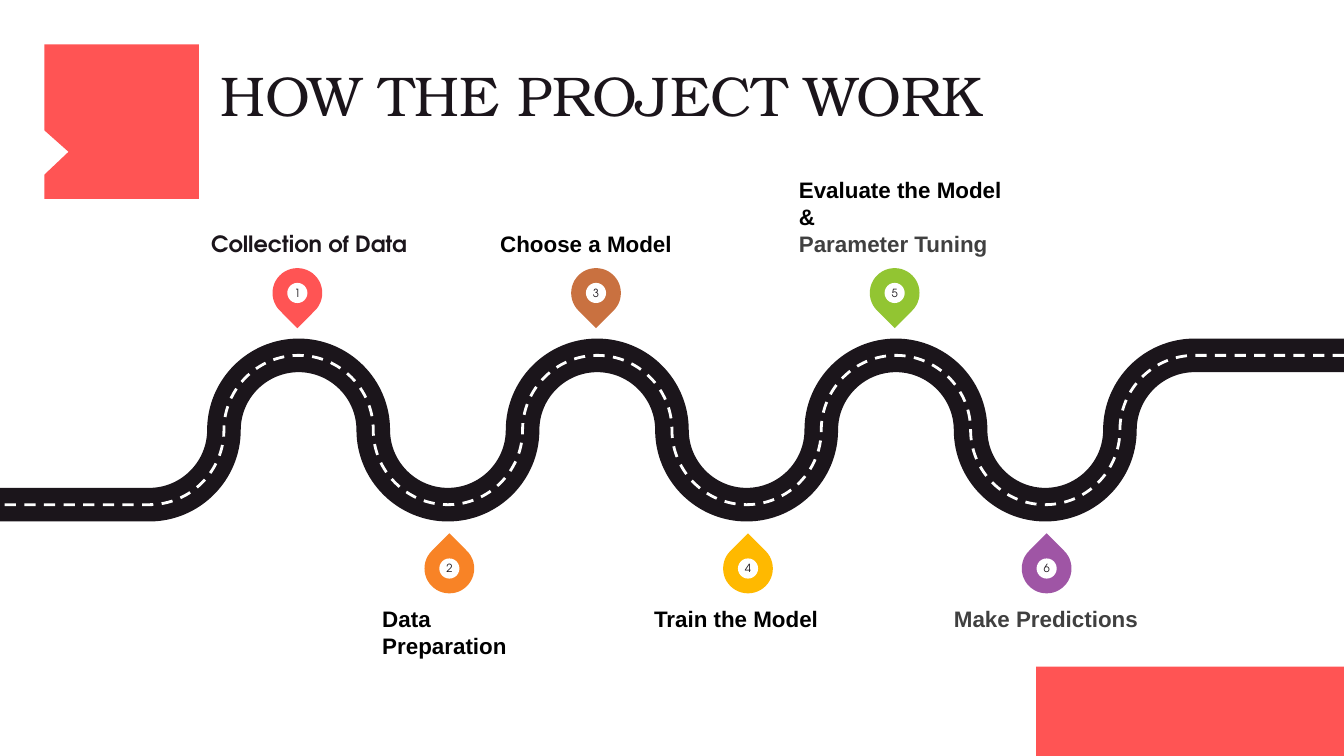
import math
from dataclasses import dataclass

from lxml import etree
from pptx import Presentation
from pptx.dml.color import RGBColor
from pptx.enum.dml import MSO_LINE
from pptx.enum.shapes import MSO_SHAPE
from pptx.enum.text import MSO_ANCHOR, MSO_AUTO_SIZE, PP_ALIGN
from pptx.oxml.ns import qn
from pptx.shapes.autoshape import Shape
from pptx.slide import Slide
from pptx.text.text import TextFrame, _Paragraph
from pptx.util import Inches, Pt

RECTANGLE, OVAL, TEAR = MSO_SHAPE.RECTANGLE, MSO_SHAPE.OVAL, MSO_SHAPE.TEAR
TOP, MIDDLE, BOTTOM = MSO_ANCHOR.TOP, MSO_ANCHOR.MIDDLE, MSO_ANCHOR.BOTTOM
LEFT, CENTER = PP_ALIGN.LEFT, PP_ALIGN.CENTER
DASH = MSO_LINE.DASH
NO_AUTOFIT = MSO_AUTO_SIZE.NONE

WIDTH, HEIGHT = 10, 5.625
COLUMN = WIDTH / 9
BEND_RADIUS = COLUMN / 2
ROAD_MIDDLE = 3.2
BENDS = 8
QUARTER = math.pi / 2
CURVE_HANDLE = 0.55
PIN_SIZE, BADGE_SIZE = 0.37, 0.15
PIN_SHIFT = {True: -0.01, False: 0.01}
PIN_MIDDLE = {True: 2.18, False: 4.23}
LABEL_TOP = {True: 1.33, False: 4.5}
LABEL_HEIGHT = 0.58

Point = tuple[float, float]


@dataclass(frozen=True)
class Theme:
    accent: str = "FF5454"
    ink: str = "1B151B"
    black: str = "000000"
    grey: str = "404040"
    white: str = "FFFFFF"
    title_font: str = "TeX Gyre Bonum"
    display_font: str = "TeX Gyre Adventor"
    label_font: str = "Arial"
    title_size: float = 30
    label_size: float = 12
    badge_size: float = 6


THEME = Theme()


@dataclass(frozen=True)
class Step:
    """A milestone; label_left and label_width are in columns."""
    number: int
    lines: tuple[str, ...]
    pin_color: str
    label_left: float
    label_width: float
    colors: tuple[str, ...] = (THEME.black,)
    font: str = THEME.label_font
    align: PP_ALIGN = LEFT

    @property
    def above(self) -> bool:
        return self.number % 2 == 1


STEPS = (
    Step(1, ("Collection of Data",), THEME.accent, 1.36, 1.42,
         (THEME.ink,), THEME.display_font, CENTER),
    Step(3, ("Choose a Model",), "C97140", 3.35, 1.27),
    Step(5, ("Evaluate the Model", "&", "Parameter Tuning"), "92C532", 5.35, 1.42,
         (THEME.black, THEME.black, THEME.grey)),
    Step(2, ("Data Preparation",), "F88326", 2.56, 1.09),
    Step(4, ("Train the Model",), "FFB900", 4.38, 1.27),
    Step(6, ("Make Predictions",), "9F55A5", 6.37, 1.27, (THEME.grey,), align=CENTER),
)


def paint(shape: Shape, color: str) -> None:
    shape.shadow.inherit = False
    shape.fill.solid()
    shape.fill.fore_color.rgb = RGBColor.from_string(color)
    shape.line.fill.background()


def prepare_frame(frame: TextFrame, anchor: MSO_ANCHOR, wrap: bool = True) -> None:
    frame.margin_left = frame.margin_right = frame.margin_top = frame.margin_bottom = 0
    frame.auto_size = NO_AUTOFIT
    frame.word_wrap = wrap
    frame.vertical_anchor = anchor


def format_paragraph(paragraph: _Paragraph, font: str, size: float, color: str,
                     align: PP_ALIGN, bold: bool = False) -> None:
    paragraph.alignment = align
    for run in paragraph.runs:
        run.font.name = font
        run.font.size = Pt(size)
        run.font.bold = bold
        run.font.color.rgb = RGBColor.from_string(color)


def draw_outline(slide: Slide, points: list[Point], close: bool) -> Shape:
    corners = [(Inches(x), Inches(y)) for x, y in points]
    builder = slide.shapes.build_freeform(*corners[0])
    builder.add_line_segments(corners[1:], close=close)
    return builder.convert_to_shape()


def draw_decorations(slide: Slide) -> None:
    near, far, notch = 0.33, 1.48, 0.51
    flag = [(near, near), (far, near), (far, far), (near, far),
            (near, 1.3), (notch, 1.13), (near, 0.97)]
    paint(draw_outline(slide, flag, close=True), THEME.accent)
    block_left, block_top = 7.71, 4.96
    block = slide.shapes.add_shape(
        RECTANGLE, Inches(block_left), Inches(block_top),
        Inches(WIDTH - block_left), Inches(HEIGHT - block_top))
    paint(block, THEME.accent)


def draw_title(slide: Slide, text: str) -> None:
    title = slide.shapes.title
    title.left, title.top = Inches(1.64), Inches(0.52)
    title.width, title.height = Inches(6.85), Inches(0.43)
    prepare_frame(title.text_frame, BOTTOM)
    title.text_frame.text = text
    paragraph = title.text_frame.paragraphs[0]
    paragraph.line_spacing = 0.8
    format_paragraph(paragraph, THEME.title_font, THEME.title_size, THEME.ink, LEFT)


def quarter_bend(bend: int, start: float) -> list[Point]:
    """Return the two handles and the end of a quarter circle centred on a column line."""
    side = -1 if bend % 2 == 0 else 1
    end = start + QUARTER
    offsets = (
        (math.cos(start) - CURVE_HANDLE * math.sin(start),
         math.sin(start) + CURVE_HANDLE * math.cos(start)),
        (math.cos(end) + CURVE_HANDLE * math.sin(end),
         math.sin(end) - CURVE_HANDLE * math.cos(end)),
        (math.cos(end), math.sin(end)),
    )
    return [(bend * COLUMN + BEND_RADIUS * x, ROAD_MIDDLE + side * BEND_RADIUS * y)
            for x, y in offsets]


def road_points() -> list[Point]:
    """Trace the road from right to left: a half circle per column, a quarter at each end."""
    upper, lower = ROAD_MIDDLE - BEND_RADIUS, ROAD_MIDDLE + BEND_RADIUS
    points = [(WIDTH, upper), (BENDS * COLUMN, upper)]
    for bend in range(BENDS, 0, -1):
        if bend < BENDS:
            points += quarter_bend(bend, 0)
        if bend > 1:
            points += quarter_bend(bend, QUARTER)
    return points + [(0, lower)]


def curve_segments(shape: Shape) -> None:
    """Turn all segments between the first and the last into cubic curves, three by three."""
    segments = list(shape._element.iter(qn("a:lnTo")))[1:-1]
    for index in range(0, len(segments), 3):
        curve = etree.Element(qn("a:cubicBezTo"))
        segments[index].addprevious(curve)
        for segment in segments[index:index + 3]:
            curve.append(segment[0])
            segment.getparent().remove(segment)


def draw_road(slide: Slide) -> None:
    for color, width, dash in ((THEME.ink, 18, None), (THEME.white, 1.5, DASH)):
        road = draw_outline(slide, road_points(), close=False)
        curve_segments(road)
        road.shadow.inherit = False
        road.fill.background()
        road.line.color.rgb = RGBColor.from_string(color)
        road.line.width = Pt(width)
        road.line.dash_style = dash


def draw_pin(slide: Slide, step: Step) -> None:
    group = slide.shapes.add_group_shape()
    center_x = (step.number + 1) * COLUMN + PIN_SHIFT[step.above]
    center_y = PIN_MIDDLE[step.above]

    def add_centered(kind: MSO_SHAPE, size: float, color: str) -> Shape:
        shape = group.shapes.add_shape(
            kind, Inches(center_x - size / 2), Inches(center_y - size / 2),
            Inches(size), Inches(size))
        paint(shape, color)
        return shape

    add_centered(TEAR, PIN_SIZE, step.pin_color).rotation = 135 if step.above else 315
    badge = add_centered(OVAL, BADGE_SIZE, THEME.white)
    prepare_frame(badge.text_frame, MIDDLE, wrap=False)
    badge.text_frame.text = str(step.number)
    format_paragraph(badge.text_frame.paragraphs[0], THEME.display_font,
                     THEME.badge_size, THEME.ink, CENTER)


def draw_label(slide: Slide, step: Step) -> None:
    box = slide.shapes.add_textbox(
        Inches(step.label_left * COLUMN), Inches(LABEL_TOP[step.above]),
        Inches(step.label_width * COLUMN), Inches(LABEL_HEIGHT))
    prepare_frame(box.text_frame, BOTTOM if step.above else TOP)
    box.text_frame.text = "\n".join(step.lines)
    for paragraph, color in zip(box.text_frame.paragraphs, step.colors):
        format_paragraph(paragraph, step.font, THEME.label_size, color, step.align, bold=True)


def main() -> None:
    presentation = Presentation()
    presentation.slide_width, presentation.slide_height = Inches(WIDTH), Inches(HEIGHT)
    slide = presentation.slides.add_slide(presentation.slide_layouts[5])
    draw_decorations(slide)
    draw_title(slide, "HOW THE PROJECT WORK")
    draw_road(slide)
    for draw in (draw_pin, draw_label):
        for step in STEPS:
            draw(slide, step)
    presentation.save("out.pptx")


if __name__ == "__main__":
    main()
